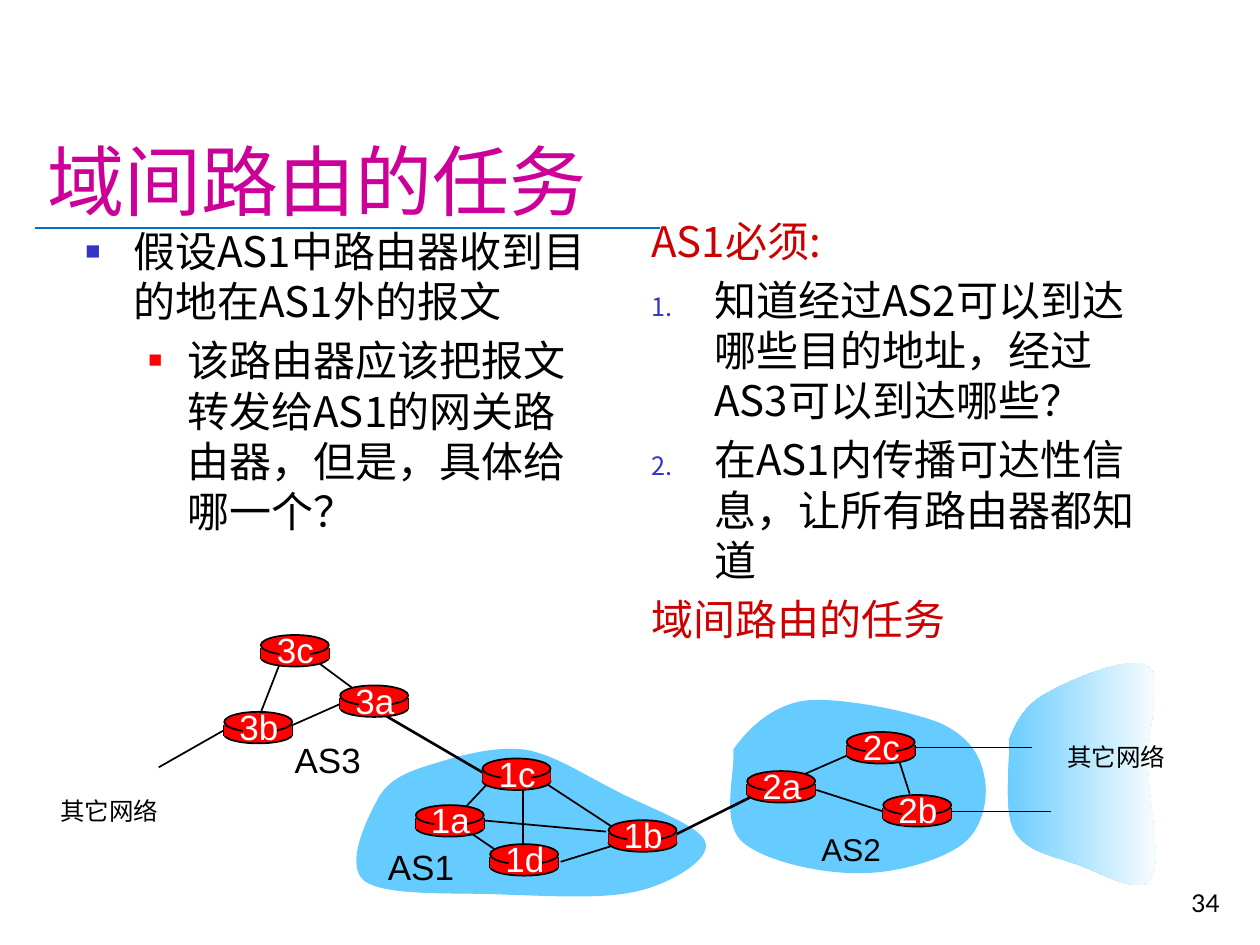
from dataclasses import dataclass

from lxml import etree
from pptx import Presentation
from pptx.dml.color import RGBColor
from pptx.enum.shapes import MSO_CONNECTOR, MSO_SHAPE
from pptx.enum.text import MSO_ANCHOR, PP_ALIGN
from pptx.oxml.ns import qn
from pptx.util import Inches, Pt

STRAIGHT = MSO_CONNECTOR.STRAIGHT
OVAL = MSO_SHAPE.OVAL
RECTANGLE = MSO_SHAPE.RECTANGLE
BOTTOM = MSO_ANCHOR.BOTTOM
TOP = MSO_ANCHOR.TOP
LEFT, CENTER, RIGHT = PP_ALIGN.LEFT, PP_ALIGN.CENTER, PP_ALIGN.RIGHT


@dataclass(frozen=True)
class Theme:
    black: str = "000000"
    white: str = "FFFFFF"
    title: str = "CC0099"
    rule: str = "0070C0"
    emphasis: str = "CC0000"
    bullet: str = "3333CC"
    router: str = "FF0000"
    region: str = "66CCFF"
    title_font: str = "Lato"
    body_font: str = "Noto Sans CJK SC"
    label_font: str = "Arial"
    title_size: int = 44
    body_size: int = 24
    label_size: int = 20
    region_size: int = 18
    small_size: int = 14


THEME = Theme()


def write_text(paragraph, text, font=THEME.body_font, size=THEME.body_size,
               color=THEME.black, align=LEFT, indent=None, level=0,
               bullet=None, bullet_color=THEME.bullet, bullet_size=60):
    run = paragraph.add_run()
    run.text = text
    run.font.name, run.font.size = font, Pt(size)
    run.font.color.rgb = RGBColor.from_string(color)
    east_asian = etree.SubElement(run._r.get_or_add_rPr(), qn("a:ea"))
    east_asian.set("typeface", font)
    paragraph.alignment = align
    paragraph.level = level
    if indent is None:
        return
    properties = paragraph._p.get_or_add_pPr()
    properties.set("marL", str(Inches(indent[0])))
    properties.set("indent", str(Inches(indent[1])))
    space = etree.SubElement(properties, qn("a:spcBef"))
    etree.SubElement(space, qn("a:spcPct")).set("val", "20000")
    if bullet is None:
        etree.SubElement(properties, qn("a:buNone"))
        return
    holder = etree.SubElement(properties, qn("a:buClr"))
    etree.SubElement(holder, qn("a:srgbClr")).set("val", bullet_color)
    etree.SubElement(properties, qn("a:buSzPct")).set("val", str(bullet_size * 1000))
    if bullet == "number":
        etree.SubElement(properties, qn("a:buAutoNum")).set("type", "arabicPeriod")
    else:
        etree.SubElement(properties, qn("a:buFont")).set("typeface", THEME.label_font)
        etree.SubElement(properties, qn("a:buChar")).set("char", bullet)


def bend_segments(shape):
    segments = list(shape._element.iter(qn("a:lnTo")))
    for index in range(0, len(segments), 3):
        curve = etree.Element(qn("a:cubicBezTo"))
        segments[index].addprevious(curve)
        for segment in segments[index:index + 3]:
            curve.append(segment[0])
            segment.getparent().remove(segment)


class SlideBuilder:
    def __init__(self, slide, theme):
        self.slide, self.theme = slide, theme

    def text(self, box, paragraphs, anchor=TOP, wrap=True):
        shape = self.slide.shapes.add_textbox(*map(Inches, box))
        frame = shape.text_frame
        frame.word_wrap, frame.vertical_anchor = wrap, anchor
        for index, (text, options) in enumerate(paragraphs):
            paragraph = frame.add_paragraph() if index else frame.paragraphs[0]
            write_text(paragraph, text, **options)

    def label(self, box, text, **options):
        self.text(box, [(text, options)], wrap=False)

    def line(self, x1, y1, x2, y2, color=THEME.black, width=1):
        connector = self.slide.shapes.add_connector(
            STRAIGHT, *map(Inches, (x1, y1, x2, y2)))
        connector.line.color.rgb = RGBColor.from_string(color)
        connector.line.width = Pt(width)
        etree.SubElement(connector._element.spPr, qn("a:effectLst"))

    def router_part(self, kind, box, outlined):
        shape = self.slide.shapes.add_shape(kind, *map(Inches, box))
        shape.shadow.inherit = False
        shape.fill.solid()
        shape.fill.fore_color.rgb = RGBColor.from_string(self.theme.router)
        if outlined:
            shape.line.color.rgb = RGBColor.from_string(self.theme.black)
            shape.line.width = Pt(1)
        else:
            shape.line.fill.background()

    def router(self, name, x, y):
        self.router_part(OVAL, (x, y + 0.11, 0.54, 0.14), True)
        for side in (x, x + 0.54):
            self.line(side, y + 0.1, side, y + 0.19)
        self.router_part(RECTANGLE, (x, y + 0.1, 0.54, 0.09), False)
        self.router_part(OVAL, (x, y, 0.54, 0.16), True)
        self.router_part(RECTANGLE, (x + 0.15, y + 0.02, 0.24, 0.21), False)
        self.label((x + 0.02, y - 0.1, 0.51, 0.43), name, align=CENTER,
                   font=self.theme.label_font, size=self.theme.label_size,
                   color=self.theme.white)

    def region(self, start, curves, fade=False):
        points = [(Inches(x), Inches(y)) for curve in curves
                  for x, y in zip(curve[::2], curve[1::2])]
        builder = self.slide.shapes.build_freeform(*map(Inches, start), scale=1)
        builder.add_line_segments(points, close=True)
        shape = builder.convert_to_shape()
        bend_segments(shape)
        shape.shadow.inherit = False
        shape.line.fill.background()
        if fade:
            shape.fill.gradient()
            shape.fill.gradient_angle = 0
            for stop, color, position in zip(shape.fill.gradient_stops,
                                             (self.theme.region, self.theme.white), (0, 1)):
                stop.color.rgb = RGBColor.from_string(color)
                stop.position = position
        else:
            shape.fill.solid()
            shape.fill.fore_color.rgb = RGBColor.from_string(self.theme.region)


OTHER_NETWORK = ((8.01, 5.87), [
    (8.07, 5.71, 8.15, 5.58, 8.33, 5.49), (8.51, 5.39, 8.98, 5.19, 9.11, 5.29),
    (9.24, 5.38, 9.1, 5.79, 9.11, 6.07), (9.11, 6.35, 9.23, 6.85, 9.13, 6.98),
    (9.04, 7.11, 8.73, 6.92, 8.55, 6.86), (8.36, 6.79, 8.14, 6.76, 8.05, 6.59),
    (7.96, 6.43, 8.02, 6.02, 8.01, 5.87)])
AS2 = ((5.82, 5.95), [
    (5.93, 5.79, 6.12, 5.6, 6.39, 5.56), (6.66, 5.53, 7.2, 5.64, 7.44, 5.73),
    (7.68, 5.83, 7.78, 5.99, 7.81, 6.15), (7.85, 6.31, 7.81, 6.57, 7.64, 6.7),
    (7.47, 6.83, 7.09, 6.94, 6.79, 6.93), (6.5, 6.93, 6.04, 6.83, 5.88, 6.67),
    (5.72, 6.51, 5.84, 6.1, 5.82, 5.95)])
AS1 = ((3.01, 6.32), [
    (3.11, 6.16, 3.28, 6.11, 3.48, 6.05), (3.67, 5.99, 3.94, 5.92, 4.17, 5.95),
    (4.4, 5.99, 4.62, 6.14, 4.86, 6.26), (5.09, 6.39, 5.57, 6.55, 5.6, 6.69),
    (5.64, 6.82, 5.33, 7.01, 5.07, 7.07), (4.8, 7.14, 4.36, 7.11, 4, 7.1),
    (3.64, 7.08, 3.06, 7.12, 2.89, 6.99), (2.73, 6.86, 2.92, 6.48, 3.01, 6.32)])
LINKS = [
    (2.31, 5.76, 2.74, 5.57), (2.81, 5.47, 2.54, 5.27), (2.22, 5.27, 2.06, 5.68),
    (1.77, 5.8, 1.26, 6.09), (3.87, 6.22, 3.7, 6.4), (4.15, 6.26, 4.15, 6.75),
    (4.32, 6.21, 4.87, 6.57), (4.87, 6.71, 4.45, 6.84), (4.81, 6.6, 3.82, 6.51),
    (3.72, 6.6, 3.94, 6.75), (6.28, 6.19, 6.76, 5.98), (6.48, 6.27, 7.01, 6.44),
    (7.14, 6.05, 7.22, 6.3)]
OUTSIDE_LINKS = [(7.26, 5.93, 8.19, 5.93), (7.53, 6.44, 8.34, 6.44)]
BORDER_LINKS = [(5.37, 6.62, 5.95, 6.33), (3.06, 5.68, 3.83, 6.13)]
ROUTERS = {
    "3b": (1.78, 5.65), "3c": (2.07, 5.04), "3a": (2.7, 5.44),
    "1c": (3.83, 6.02), "1a": (3.3, 6.39), "1d": (3.89, 6.7), "1b": (4.83, 6.51),
    "2a": (5.93, 6.12), "2c": (6.72, 5.81), "2b": (7.01, 6.31)}


def main():
    presentation = Presentation()
    presentation.slide_width, presentation.slide_height = Inches(10), Inches(7.5)
    slide = presentation.slides.add_slide(presentation.slide_layouts[6])
    builder = SlideBuilder(slide, THEME)

    builder.line(0.28, 1.81, 5.24, 1.81, color=THEME.rule, width=1.25)
    builder.text((0.28, 0.24, 9.51, 1.6), [("域间路由的任务", dict(
        font=THEME.title_font, size=THEME.title_size, color=THEME.title))], anchor=BOTTOM)
    builder.text((7.7, 6.83, 2.08, 0.5), [("34", dict(
        font=THEME.title_font, size=THEME.small_size, align=RIGHT))], anchor=BOTTOM)
    builder.text((0.58, 1.74, 4.17, 3.11), [
        ("假设AS1中路由器收到目的地在AS1外的报文", dict(indent=(0.38, -0.38), bullet="■")),
        ("该路由器应该把报文转发给AS1的网关路由器，但是，具体给哪一个？", dict(
            indent=(0.81, -0.31), level=1, bullet="■",
            bullet_color=THEME.router, bullet_size=55))])
    heading = dict(indent=(0.5, -0.5), color=THEME.emphasis)
    numbered = dict(indent=(0.5, -0.5), bullet="number")
    builder.text((5.07, 1.66, 4.17, 5.08), [
        ("AS1必须:", heading),
        ("知道经过AS2可以到达哪些目的地址，经过AS3可以到达哪些？", numbered),
        ("在AS1内传播可达性信息，让所有路由器都知道", numbered),
        ("域间路由的任务", heading)])

    builder.region(*OTHER_NETWORK, fade=True)
    builder.region(*AS2)
    builder.region(*AS1)
    for name, box, size in (("AS3", (2.24, 5.81, 0.73, 0.43), THEME.label_size),
                            ("AS2", (6.42, 6.54, 0.67, 0.4), THEME.region_size),
                            ("AS1", (2.98, 6.66, 0.73, 0.43), THEME.label_size)):
        builder.label(box, name, font=THEME.label_font, size=size)
    for links, width in ((LINKS, 1), (OUTSIDE_LINKS, 0.75), (BORDER_LINKS, 1.5)):
        for link in links:
            builder.line(*link, width=width)
    for name, position in ROUTERS.items():
        builder.router(name, *position)
    for x, y in ((8.37, 5.84), (0.38, 6.27)):
        builder.label((x, y, 0.99, 0.34), "其它网络", size=THEME.small_size)
    presentation.save("out.pptx")


if __name__ == "__main__":
    main()
